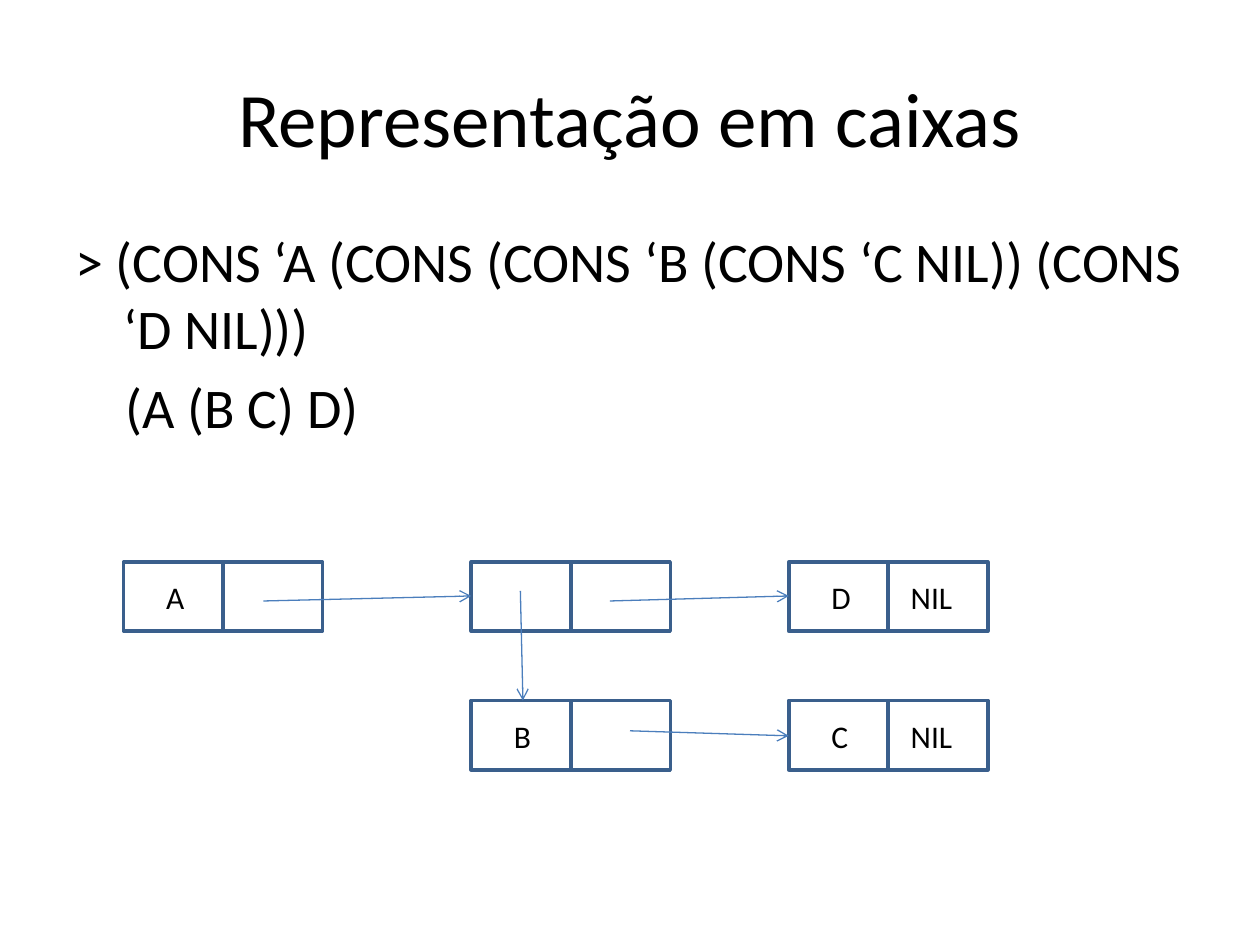
from lxml.etree import SubElement
from pptx import Presentation
from pptx.dml.color import RGBColor
from pptx.enum.shapes import MSO_CONNECTOR, MSO_SHAPE
from pptx.enum.text import MSO_ANCHOR, PP_ALIGN
from pptx.oxml.ns import qn
from pptx.util import Inches, Pt

TITLE = "Representação em caixas"
CODE = [
    ("> (CONS ‘A (CONS (CONS ‘B (CONS ‘C NIL)) (CONS ‘D NIL)))", 0.38, -0.38),
    ("(A (B C) D)", 0.4, 0),
]
COLUMNS = [0.98, 3.74, 6.26]
ROWS = [4.46, 5.56]
CELL_WIDTH, CELL_HEIGHT = 0.79, 0.55
CONS_CELLS = [
    (0, 0, "A", ""),
    (1, 0, "", ""),
    (2, 0, "D", "NIL"),
    (1, 1, "B", ""),
    (2, 1, "C", "NIL"),
]
LABEL_OFFSETS = [0.24, 0.08]
LABEL_WIDTHS = {"A": 0.35, "B": 0.34, "C": 0.34, "D": 0.36, "NIL": 0.54}
POINTERS = [
    (2.09, 4.77, 3.74, 4.73),
    (4.84, 4.77, 6.26, 4.73),
    (4.13, 4.69, 4.15, 5.56),
    (5, 5.8, 6.26, 5.84),
]
BLACK, BOX_LINE, ARROW_LINE = "000000", "3A5F8C", "4B7EBC"


def color(value):
    return RGBColor.from_string(value)


def add_text(slide, left, top, width, height, lines, size, wrap=True):
    shape = slide.shapes.add_textbox(*map(Inches, (left, top, width, height)))
    frame = shape.text_frame
    frame.text = "\n".join(lines)
    frame.word_wrap = wrap
    for paragraph in frame.paragraphs:
        font = paragraph.runs[0].font
        font.name, font.size = "Calibri", Pt(size)
        font.color.rgb = color(BLACK)
    return frame


def add_box(slide, left, top):
    shape = slide.shapes.add_shape(
        MSO_SHAPE.RECTANGLE, *map(Inches, (left, top, CELL_WIDTH, CELL_HEIGHT)))
    shape.shadow.inherit = False
    shape.fill.background()
    shape.line.color.rgb = color(BOX_LINE)
    shape.line.width = Pt(2)


def add_pointer(slide, ends):
    connector = slide.shapes.add_connector(MSO_CONNECTOR.STRAIGHT, *map(Inches, ends))
    connector.line.color.rgb = color(ARROW_LINE)
    connector.line.width = Pt(0.75)
    SubElement(connector.line._get_or_add_ln(), qn("a:tailEnd"), type="arrow")
    SubElement(connector._element.spPr, qn("a:effectLst"))


presentation = Presentation()
presentation.slide_width, presentation.slide_height = Inches(10), Inches(7.5)
slide = presentation.slides.add_slide(presentation.slide_layouts[6])

title = add_text(slide, 0.5, 0.3, 9, 1.25, [TITLE], 44)
title.vertical_anchor = MSO_ANCHOR.MIDDLE
title.paragraphs[0].alignment = PP_ALIGN.CENTER

code = add_text(slide, 0.5, 1.75, 9, 4.95, [line[0] for line in CODE], 32)
for paragraph, (_, margin, indent) in zip(code.paragraphs, CODE):
    paragraph.space_before = Pt(6.4)
    properties = paragraph._p.get_or_add_pPr()
    properties.set("marL", str(Inches(margin)))
    properties.set("indent", str(Inches(indent)))

for column, row, *labels in CONS_CELLS:
    for side, label in enumerate(labels):
        left, top = COLUMNS[column] + side * CELL_WIDTH, ROWS[row]
        add_box(slide, left, top)
        if label:
            add_text(slide, left + LABEL_OFFSETS[side], top + 0.08,
                     LABEL_WIDTHS[label], 0.4, [label], 18, wrap=False)

for ends in POINTERS:
    add_pointer(slide, ends)

presentation.save("out.pptx")
